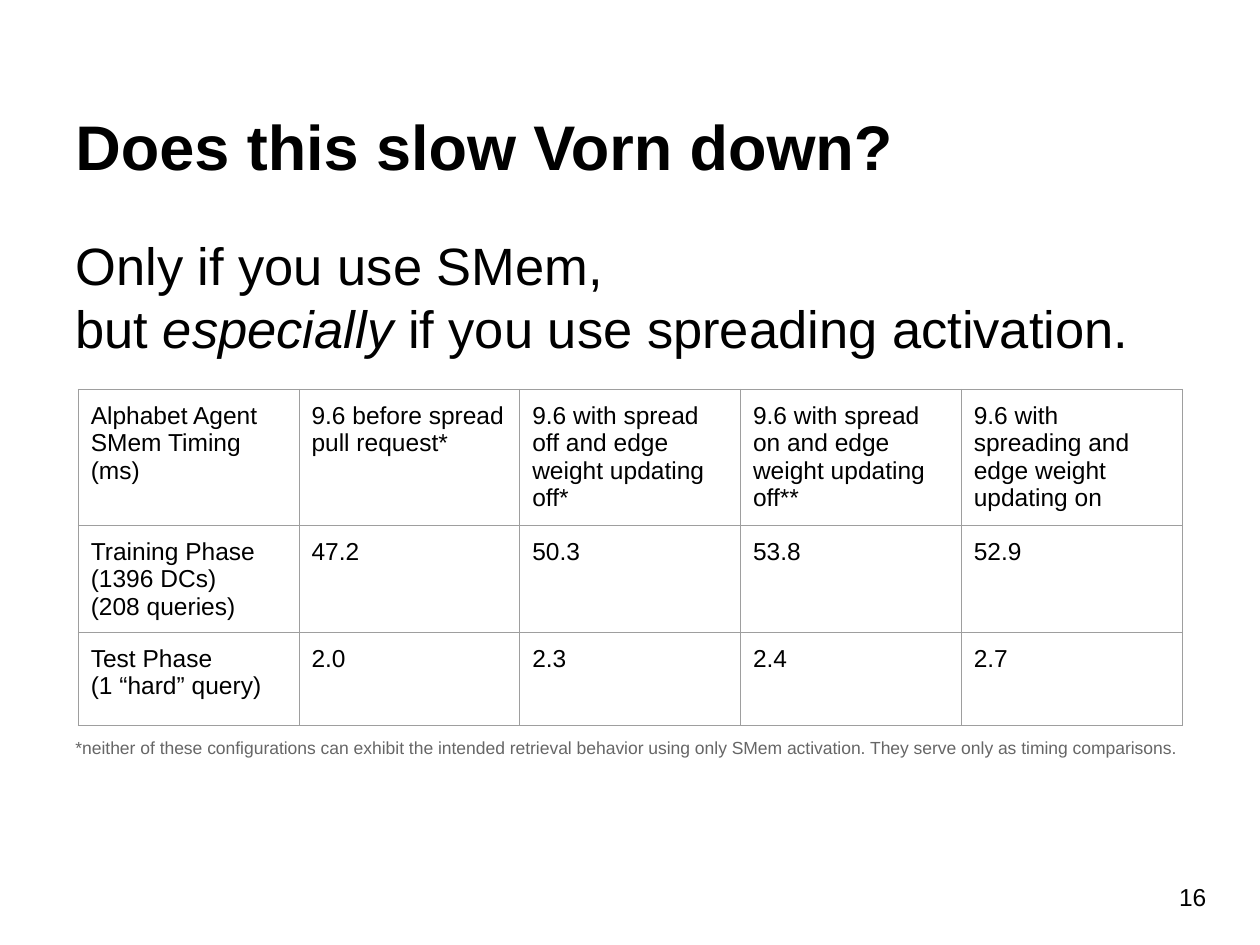
"""Build the slide on the timing cost of spreading activation."""
from lxml import etree
from pptx import Presentation
from pptx import util as u
from pptx.dml.color import RGBColor
from pptx.enum import text
from pptx.oxml.ns import qn

BLACK = RGBColor(0x00, 0x00, 0x00)
GREY = RGBColor(0x66, 0x66, 0x66)
BORDER = RGBColor(0x9E, 0x9E, 0x9E)
INSET = u.Cm(0.25)
FRAME = {"margin_left": INSET, "margin_right": INSET, "margin_top": INSET, "margin_bottom": INSET,
         "word_wrap": True, "auto_size": text.MSO_AUTO_SIZE.NONE}
CELL = {key: INSET for key in FRAME if key.startswith("margin")}

TITLE = "Does this slow Vorn down?"
BODY = [
    ([("Only if you use SMem,", False)], 30, BLACK, 2),
    ([("but ", False), ("especially", True), (" if you use spreading activation.", False)], 30, BLACK, 0),
    ([("*neither of these configurations can exhibit the intended retrieval behavior "
       "using only SMem activation. They serve only as timing comparisons.", False)], 10, GREY, 216),
]
TIMINGS = [
    ["Alphabet Agent SMem Timing (ms)", "9.6 before spread pull request*",
     "9.6 with spread off and edge weight updating off*",
     "9.6 with spread on and edge weight updating off**",
     "9.6 with spreading and edge weight updating on"],
    ["Training Phase\n(1396 DCs)\n(208 queries)", "47.2", "50.3", "53.8", "52.9"],
    ["Test Phase\n(1 “hard” query)", "2.0", "2.3", "2.4", "2.7"],
]
ROW_HEIGHTS = [2.74, 2.16, 1.87]


def apply(target, values):
    for name, value in values.items():
        setattr(target, name, value)


def style_paragraph(paragraph, size, color=BLACK, bold=False, before=0):
    apply(paragraph, {"alignment": text.PP_ALIGN.LEFT, "line_spacing": 1.0,
                      "space_before": u.Pt(before), "space_after": u.Pt(0)})
    for run in paragraph.runs:
        apply(run.font, {"name": "Arial", "size": u.Pt(size), "bold": bold})
        run.font.color.rgb = color


presentation = Presentation()
apply(presentation, {"slide_width": u.Cm(25.4), "slide_height": u.Cm(19.05)})
slide = presentation.slides.add_slide(presentation.slide_layouts[1])

title = slide.shapes.title
apply(title, {"left": u.Cm(1.27), "top": u.Cm(0.76), "width": u.Cm(22.86), "height": u.Cm(3.18)})
apply(title.text_frame, {**FRAME, "vertical_anchor": text.MSO_ANCHOR.BOTTOM, "text": TITLE})
style_paragraph(title.text_frame.paragraphs[0], 36, bold=True)

body = slide.placeholders[1]
apply(body, {"left": u.Cm(1.27), "top": u.Cm(4.45), "width": u.Cm(22.86), "height": u.Cm(13.79)})
apply(body.text_frame, {**FRAME, "vertical_anchor": text.MSO_ANCHOR.TOP})
for index, (pieces, size, color, before) in enumerate(BODY):
    paragraph = body.text_frame.add_paragraph() if index else body.text_frame.paragraphs[0]
    for words, italic in pieces:
        run = paragraph.add_run()
        run.text = words
        run.font.italic = italic
    style_paragraph(paragraph, size, color, before=before)
    properties = paragraph._p.get_or_add_pPr()
    properties.set("marL", "0")
    properties.set("indent", "0")
    etree.SubElement(properties, qn("a:buNone"))

table = slide.shapes.add_table(3, 5, u.Cm(1.58), u.Cm(7.85), u.Cm(22.25), u.Cm(sum(ROW_HEIGHTS))).table
apply(table, {"first_row": False, "horz_banding": False})
for column in table.columns:
    column.width = u.Cm(4.45)
for row, height, values in zip(table.rows, ROW_HEIGHTS, TIMINGS):
    row.height = u.Cm(height)
    for cell, value in zip(row.cells, values):
        apply(cell, {**CELL, "text": value, "vertical_anchor": text.MSO_ANCHOR.TOP})
        for paragraph in cell.text_frame.paragraphs:
            style_paragraph(paragraph, 14)
        properties = cell._tc.get_or_add_tcPr()
        for side in ("a:lnL", "a:lnR", "a:lnT", "a:lnB"):
            line = etree.SubElement(properties, qn(side), w=str(u.Pt(0.75)))
            fill = etree.SubElement(line, qn("a:solidFill"))
            etree.SubElement(fill, qn("a:srgbClr"), val=str(BORDER))
        cell.fill.background()

page_number = slide.shapes.add_textbox(u.Cm(23.52), u.Cm(17.53), u.Cm(2.21), u.Cm(1.52))
apply(page_number.text_frame, {**FRAME, "text": "16"})
style_paragraph(page_number.text_frame.paragraphs[0], 14)

presentation.save("out.pptx")
